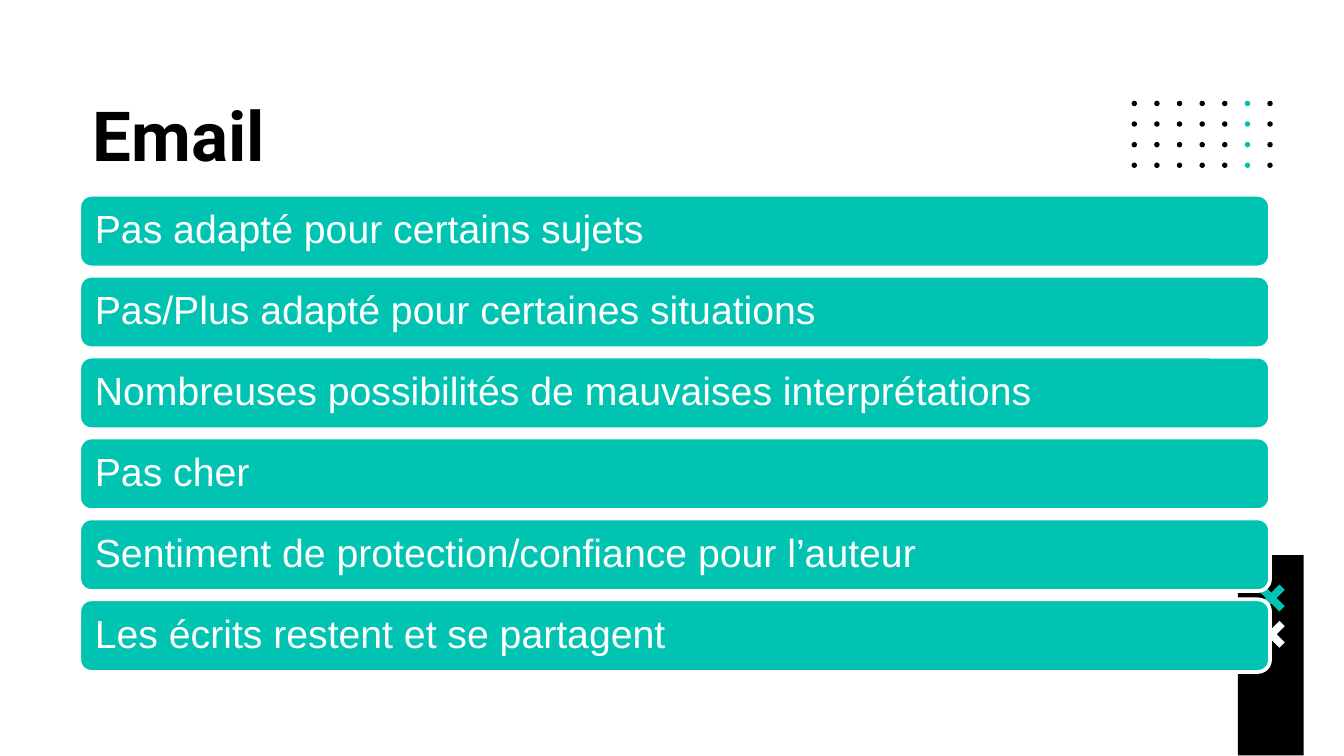
from pptx import Presentation
from pptx.dml.color import RGBColor
from pptx.enum.shapes import MSO_SHAPE
from pptx.enum.text import MSO_ANCHOR, PP_ALIGN
from pptx.util import Inches, Pt

OVAL, ROUND, RECT = MSO_SHAPE.OVAL, MSO_SHAPE.ROUNDED_RECTANGLE, MSO_SHAPE.RECTANGLE
TOP, MIDDLE, LEFT = MSO_ANCHOR.TOP, MSO_ANCHOR.MIDDLE, PP_ALIGN.LEFT
TEAL, BLACK, WHITE = "00C3B1", "000000", "FFFFFF"
TITLE = {"name": "Roboto", "size": Pt(37), "bold": True}
BODY = {"name": "Arial", "size": Pt(21), "bold": False}
POINTS = [
    "Pas adapté pour certains sujets",
    "Pas/Plus adapté pour certaines situations",
    "Nombreuses possibilités de mauvaises interprétations",
    "Pas cher",
    "Sentiment de protection/confiance pour l’auteur",
    "Les écrits restent et se partagent",
]


def paint(fill, color):
    """Give a fill or font colour a solid hex value."""
    if hasattr(fill, "solid"):
        fill.solid()
        fill = fill.fore_color
    fill.rgb = RGBColor.from_string(color)


def plain(shape, color):
    """Fill a shape and remove its line and shadow."""
    shape.shadow.inherit = False
    paint(shape.fill, color)
    shape.line.fill.background()
    return shape


def block(shapes, kind, box, color):
    """Add a plain preset shape in the box."""
    return plain(shapes.add_shape(kind, *map(Inches, box)), color)


def write(shape, text, style, color, anchor, inset):
    """Set the text of a shape in one style."""
    frame = shape.text_frame
    frame.text = text
    frame.word_wrap = True
    frame.vertical_anchor = anchor
    for side in ("left", "top", "right", "bottom"):
        setattr(frame, f"margin_{side}", Inches(inset))
    line = frame.paragraphs[0]
    line.alignment = LEFT
    for key, value in style.items():
        setattr(line.font, key, value)
    paint(line.font.color, color)
    return line


def head(slide, box, text):
    """Place the title in the box."""
    title = slide.shapes.title
    title.left, title.top, title.width, title.height = map(Inches, box)
    write(title, text, TITLE, BLACK, TOP, 0.1)


def dots(slide, box, cols=7, rows=4, size=0.04):
    """Spread a grid of dots over the box, with one teal column."""
    left, top, width, height = box
    across, down = (width - size) / (cols - 1), (height - size) / (rows - 1)
    group = slide.shapes.add_group_shape().shapes
    for row in range(rows):
        for col in range(cols):
            color = TEAL if col == cols - 2 else BLACK
            spot = (left + col * across, top + row * down, size, size)
            block(group, OVAL, spot, color)


def cross(shapes, box, color):
    """Draw a diagonal cross in the box."""
    left, top, width, height = box
    arm = [(0.2, 0), (0.5, 0.3), (0.8, 0), (1, 0.2), (0.7, 0.5), (1, 0.8)]
    ends = arm + [(1 - x, 1 - y) for x, y in arm]
    path = [(Inches(left + x * width), Inches(top + y * height)) for x, y in ends]
    pen = shapes.build_freeform(*path[0])
    pen.add_line_segments(path[1:])
    plain(pen.convert_to_shape(), color)


def corner(slide, box):
    """Draw the black band with its two crosses."""
    left, top = box[:2]
    block(slide.shapes, RECT, box, BLACK)
    for row, color in enumerate((TEAL, WHITE)):
        cross(slide.shapes, (left + 0.15, top + 0.22 + row * 0.27, 0.2, 0.2), color)


def bars(slide, box, items, tall=0.54):
    """Stack one rounded bar per item evenly in the box."""
    left, top, width, height = box
    step = (height - tall) / (len(items) - 1)
    for row, text in enumerate(items):
        bar = block(slide.shapes, ROUND, (left, top + row * step, width, tall), TEAL)
        paint(bar.line.fill, WHITE)
        bar.line.width = Pt(2)
        write(bar, text, BODY, WHITE, MIDDLE, 0.09).line_spacing = 0.9


def main():
    """Build the slide and save it."""
    deck = Presentation()
    deck.slide_width, deck.slide_height = Inches(10), Inches(10 * 9 / 16)
    slide = deck.slides.add_slide(deck.slide_layouts[5])
    dots(slide, (8.42, 0.75, 1.05, 0.5))
    corner(slide, (9.21, 4.13, 0.49, 1.49))
    head(slide, (0.59, 0.59, 8.86, 0.79), "Email")
    bars(slide, (0.59, 1.45, 8.86, 3.55), POINTS)
    deck.save("out.pptx")


if __name__ == "__main__":
    main()
